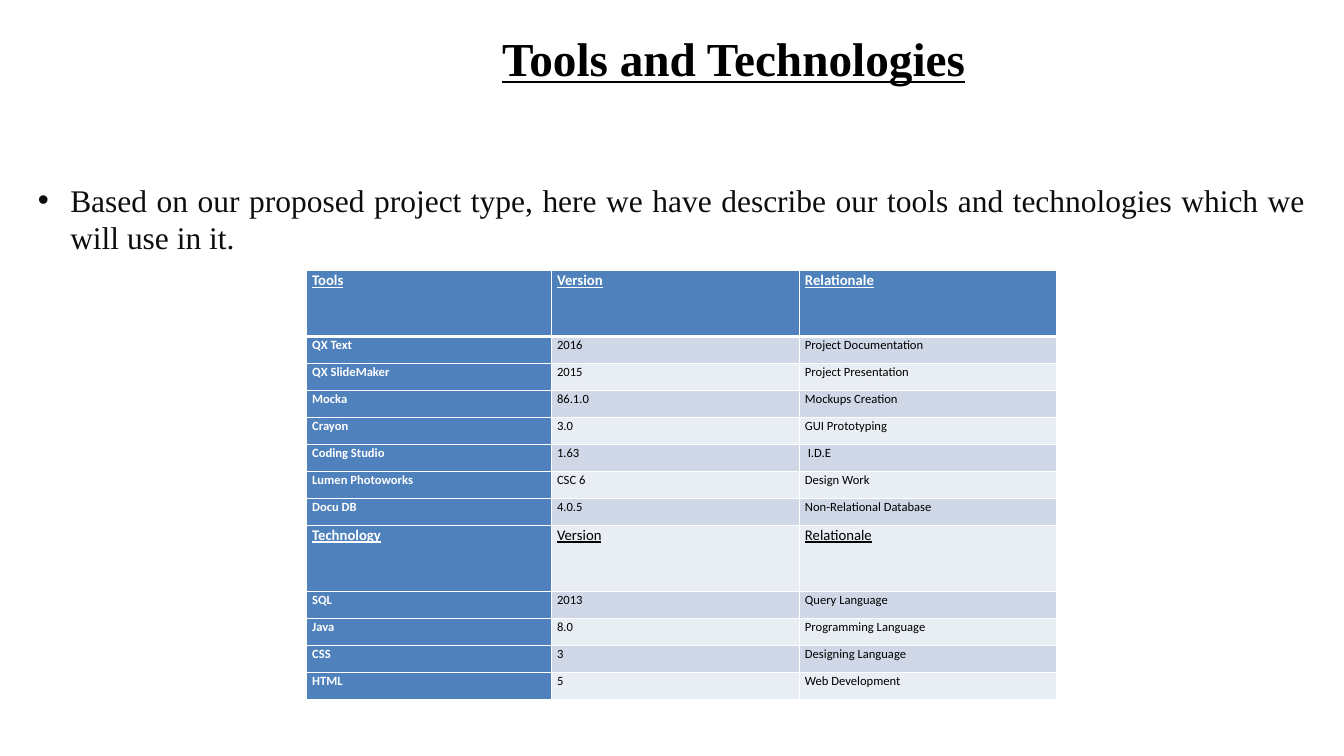
from lxml import etree
from pptx import Presentation
from pptx.dml.color import RGBColor
from pptx.enum.text import MSO_ANCHOR, PP_ALIGN
from pptx.oxml.ns import qn
from pptx.util import Inches, Pt

CENTER, JUSTIFY, TOP = PP_ALIGN.CENTER, PP_ALIGN.JUSTIFY, MSO_ANCHOR.TOP

# Content
TITLE = "Tools and Technologies"
INTRO = ("Based on our proposed project type, here we have describe our tools "
         "and technologies which we will use in it. ")
ROWS = [
    ("Tools", "Version", "Relationale"),
    ("QX Text", "2016", "Project Documentation"),
    ("QX SlideMaker", "2015", "Project Presentation"),
    ("Mocka", "86.1.0", "Mockups Creation"),
    ("Crayon", "3.0", "GUI Prototyping"),
    ("Coding Studio", "1.63", " I.D.E"),
    ("Lumen Photoworks", "CSC 6", "Design Work"),
    ("Docu DB", "4.0.5", "Non-Relational Database"),
    ("Technology", "Version", "Relationale"),
    ("SQL", "2013", "Query Language "),
    ("Java", "8.0", "Programming Language"),
    ("CSS", "3", "Designing Language"),
    ("HTML", "5", "Web Development"),
]
HEADS = (0, 8)

COLORS = {"black": "000000", "ink": "0D0D0D", "white": "FFFFFF",
          "blue": "4F81BD", "dark": "D0D8E8", "light": "E9EDF4"}
SERIF, SANS = "Times New Roman", "Calibri"

# Layout in inches: left, top, width, height
WIDE, HIGH = 17.78, 10
TITLE_BOX = (2.94, 0.33, 13.53, 1.25)
INTRO_BOX = (0.39, 2.33, 17, 6.67)
GRID = (4.06, 3.58, 9.92, 5.67)
COLS = (3.24, 3.28, 3.39)
HEAD_H = 0.87
ROW_H = (GRID[3] - HEAD_H * len(HEADS)) / (len(ROWS) - len(HEADS))
INDENT = 0.43


def rgb(name):
    return RGBColor.from_string(COLORS[name])


def style(para, face, size, color, bold=False, under=False):
    font = para.font
    font.name, font.size, font.bold = face, Pt(size), bold
    font.underline = under
    font.color.rgb = rgb(color)


def add_text(slide, box, text, align):
    frame = slide.shapes.add_textbox(*map(Inches, box)).text_frame
    frame.word_wrap, frame.vertical_anchor = True, TOP
    frame.margin_left = frame.margin_right = Inches(0.11)
    frame.margin_top = frame.margin_bottom = Inches(0.06)
    para = frame.paragraphs[0]
    para.text, para.alignment = text, align
    return para


def add_bullet(para):
    props = para._p.get_or_add_pPr()
    props.set("marL", str(Inches(INDENT)))
    props.set("indent", str(-Inches(INDENT)))
    face = etree.Element(qn("a:buFont"), typeface="Arial")
    mark = etree.Element(qn("a:buChar"), char="•")
    # Bullet parts come before the default run properties
    props.find(qn("a:defRPr")).addprevious(face)
    face.addnext(mark)


def add_border(cell, row):
    props = cell._tc.get_or_add_tcPr()
    for side in "LRTB":
        thick = (row, side) in ((0, "B"), (1, "T"))
        line = etree.SubElement(props, qn("a:ln" + side),
                                w=str(Pt(3 if thick else 1)))
        fill = etree.SubElement(line, qn("a:solidFill"))
        etree.SubElement(fill, qn("a:srgbClr"), val=COLORS["white"])


def fill_cell(cell, text, row, col):
    head = row in HEADS
    strong = row == 0 or col == 0
    cell.margin_left = cell.margin_right = Inches(0.07)
    cell.margin_top = cell.margin_bottom = 0
    cell.vertical_anchor = TOP
    add_border(cell, row)
    cell.fill.solid()
    band = "dark" if row % 2 else "light"
    cell.fill.fore_color.rgb = rgb("blue" if strong else band)
    para = cell.text_frame.paragraphs[0]
    para.text, para.alignment, para.line_spacing = text, JUSTIFY, 1.07
    style(para, SANS, 14 if head else 12,
          "white" if strong else "black", strong, head)


def main():
    deck = Presentation()
    deck.slide_width, deck.slide_height = Inches(WIDE), Inches(HIGH)
    slide = deck.slides.add_slide(deck.slide_layouts[6])

    # Title
    para = add_text(slide, TITLE_BOX, TITLE, CENTER)
    style(para, SERIF, 45, "black", True, True)

    # Introduction
    para = add_text(slide, INTRO_BOX, INTRO, JUSTIFY)
    para.space_before = Pt(6)
    style(para, SERIF, 30, "ink")
    add_bullet(para)

    # Table of tools and technologies
    table = slide.shapes.add_table(len(ROWS), len(COLS),
                                   *map(Inches, GRID)).table
    table.first_col = True
    for col, width in enumerate(COLS):
        table.columns[col].width = Inches(width)
    for row, texts in enumerate(ROWS):
        table.rows[row].height = Inches(HEAD_H if row in HEADS else ROW_H)
        for col, text in enumerate(texts):
            fill_cell(table.cell(row, col), text, row, col)

    deck.save("out.pptx")


if __name__ == "__main__":
    main()
